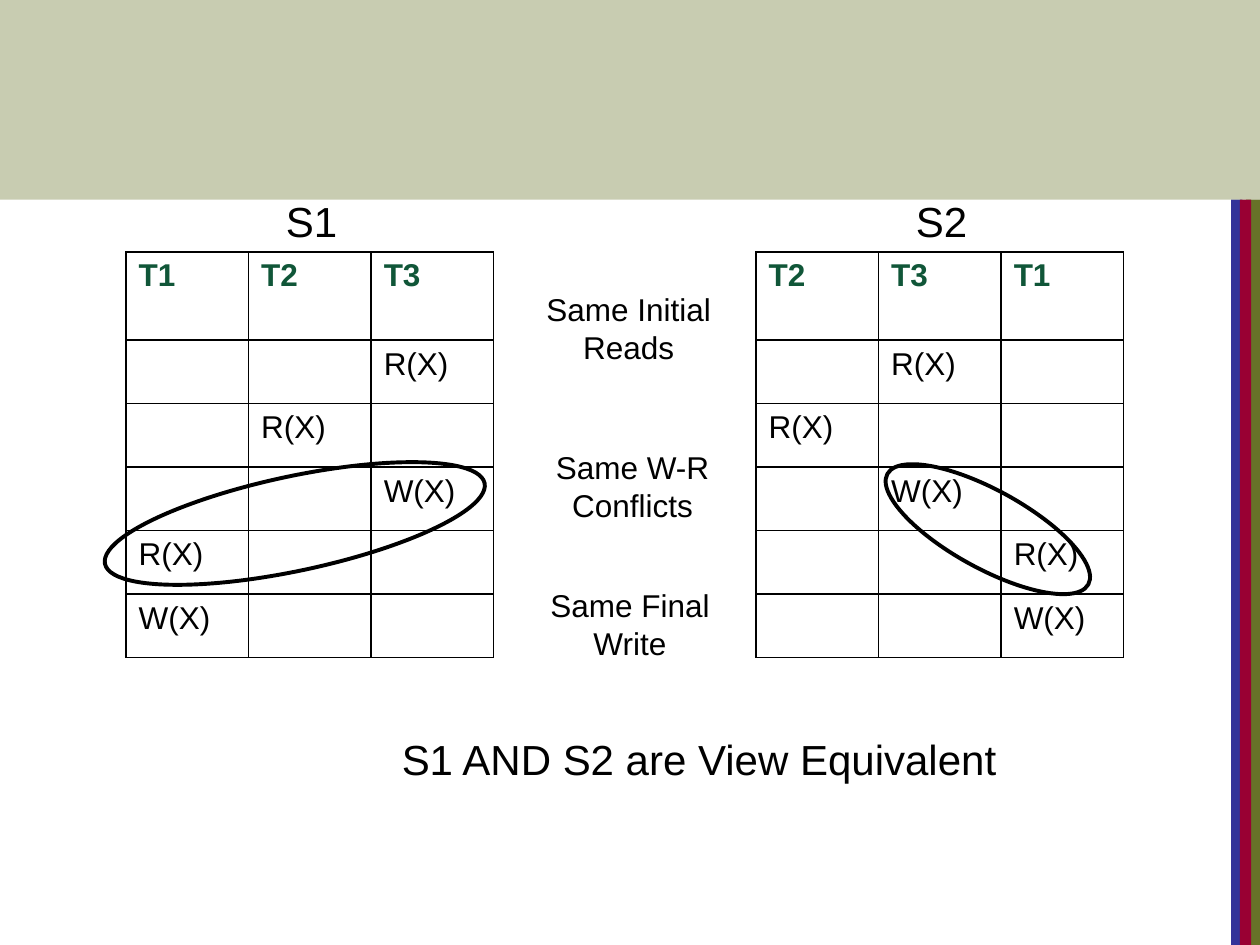
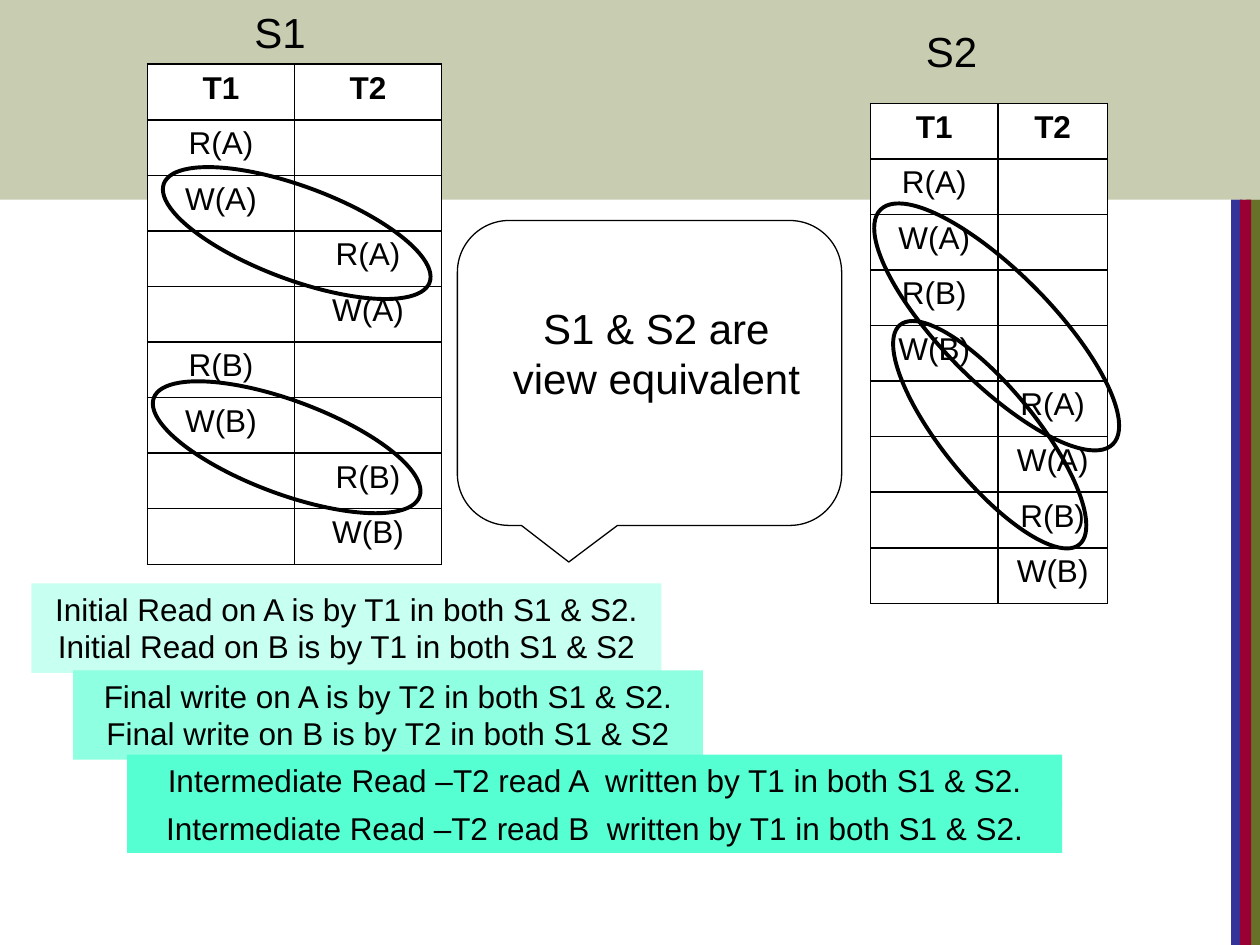
from lxml import etree
from pptx import Presentation
from pptx.dml.color import RGBColor
from pptx.enum.shapes import MSO_SHAPE as Preset
from pptx.enum.text import MSO_ANCHOR as Anchor, PP_ALIGN as Align
from pptx.oxml.ns import qn
from pptx.util import Inches, Pt

# Shared look: a grid of 100 columns by 75 rows covers the slide
FONT, BLACK, WHITE, GREEN = "Arial", "000000", "FFFFFF", "105638"
OLIVE, BLUE, RED = "677228", "333399", "990033"
BODY, HEADING = 18, 24
COLUMNS, ROWS, BAND = 100, 75, 15.85
hex_colour = RGBColor.from_string

deck = Presentation()
deck.slide_width, deck.slide_height = Inches(10), Inches(7.5)
column, row = deck.slide_width / COLUMNS, deck.slide_height / ROWS


def place(slide, preset, box, lines=(), size=BODY, align=Align.LEFT,
          fill=None, line=None, weight=0.75, turn=0, wrap=True):
    """Put a preset shape, or a text box if preset is None, on the grid."""
    left, top, width, height = box
    frame = (int(left * column), int(top * row), int(width * column), int(height * row))
    if preset is None:
        part = slide.shapes.add_textbox(*frame)
    else:
        part = slide.shapes.add_shape(preset, *frame)
        part.shadow.inherit = False
        part.rotation = turn
        part.fill.background()
        part.line.fill.background()
        if fill:
            part.fill.solid()
            part.fill.fore_color.rgb = hex_colour(fill)
        if line:
            part.line.color.rgb = hex_colour(line)
            part.line.width = Pt(weight)
    if lines:
        text = part.text_frame
        text.word_wrap, text.vertical_anchor = wrap, Anchor.TOP
        text.text = "\n".join(lines)
        for paragraph in text.paragraphs:
            paragraph.alignment = align
            font = paragraph.runs[0].font
            font.name, font.size = FONT, Pt(size)
            font.color.rgb = hex_colour(BLACK)
    return part


def schedule(slide, left, top, widths, heights, heads, steps, head_colour, align):
    """Draw a schedule: each step is (transaction, operation) on its own row."""
    table = slide.shapes.add_table(
        len(heights), len(widths), int(left * column), int(top * row),
        int(sum(widths) * column), int(sum(heights) * row)).table
    table.first_row = table.horz_banding = False
    for lane, width in zip(table.columns, widths):
        lane.width = int(width * column)
    for line, height in zip(table.rows, heights):
        line.height = int(height * row)
    entries = {(0, number): head for number, head in enumerate(heads)}
    entries |= {(number, heads.index(owner)): operation
                for number, (owner, operation) in enumerate(steps, 1)}
    for r in range(len(heights)):
        for c in range(len(widths)):
            cell = table.cell(r, c)
            cell.text = entries.get((r, c), "")
            paragraph = cell.text_frame.paragraphs[0]
            paragraph.alignment = align
            font = paragraph.runs[0].font if paragraph.runs else paragraph.font
            font.name, font.size, font.bold = FONT, Pt(BODY), r == 0
            font.color.rgb = hex_colour(BLACK if r else head_colour)
            # Borders come before the fill in the cell properties
            properties = cell._tc.get_or_add_tcPr()
            for side in ("a:lnL", "a:lnR", "a:lnT", "a:lnB"):
                border = etree.SubElement(properties, qn(side), w=str(Pt(1)))
                solid = etree.SubElement(border, qn("a:solidFill"))
                etree.SubElement(solid, qn("a:srgbClr"), val=BLACK)
            cell.fill.solid()
            cell.fill.fore_color.rgb = hex_colour(WHITE)


# Both slides: three side stripes and a translucent top band
slides = [deck.slides.add_slide(deck.slide_layouts[6]) for _ in range(2)]
for slide in slides:
    for left, width, colour in ((98.9, 1.1, OLIVE), (97.7, 0.9, BLUE), (98.4, 0.9, RED)):
        place(slide, Preset.RECTANGLE, (left, BAND, width, ROWS - BAND), fill=colour)
    band = place(slide, Preset.RECTANGLE, (0, 0, COLUMNS, BAND), fill=OLIVE)
    tint = band._element.spPr.find(qn("a:solidFill")).find(qn("a:srgbClr"))
    etree.SubElement(tint, qn("a:alpha"), val="36000")
three_way, two_way = slides

# Slide 1: two schedules of three transactions
three_steps = [("T3", "R(X)"), ("T2", "R(X)"), ("T3", "W(X)"), ("T1", "R(X)"), ("T1", "W(X)")]
for title, left, heads in (("S1", 10, ["T1", "T2", "T3"]), ("S2", 60, ["T2", "T3", "T1"])):
    schedule(three_way, left, 20, [9.73] * 3, [7] + [5.04] * 5, heads, three_steps,
             GREEN, Align.LEFT)
    place(three_way, None, (left + 11.7, 15, 11.7, 5.1), [title], HEADING)

# Slide 1: reasons between the schedules, and the conclusion
for left, top, reason in ((40.7, 22.5, "Same Initial Reads"), (41, 35.1, "Same W-R Conflicts"),
                          (40.8, 46, "Same Final Write")):
    place(three_way, None, (left, top, 18.4, 7.1), [reason], align=Align.CENTER)
place(three_way, None, (30.9, 57.7, 50.1, 5.1), ["S1 AND S2 are View Equivalent"],
      HEADING, wrap=False)

# Slide 2: two schedules of two transactions
a_first, a_second = [("T1", "R(A)"), ("T1", "W(A)")], [("T2", "R(A)"), ("T2", "W(A)")]
b_first, b_second = [("T1", "R(B)"), ("T1", "W(B)")], [("T2", "R(B)"), ("T2", "W(B)")]
for title, title_at, left, top, widths, steps in (
        ("S1", (19.2, 0), 11.7, 5.1, [11.67, 11.67], a_first + a_second + b_first + b_second),
        ("S2", (72.5, 1.5), 69.1, 8.2, [10.1, 8.7], a_first + b_first + a_second + b_second)):
    schedule(two_way, left, top, widths, [4.41] * 9, ["T1", "T2"], steps, BLACK, Align.CENTER)
    place(two_way, None, (*title_at, 11.7, 5.1), [title], HEADING)

# Slide 2: stepped notes
for box, colour, lines in (
        ((2.5, 46.3, 50, 7.1), "C7FFF0", ["Initial Read on A is by T1 in both S1 & S2.",
                                          "Initial Read on B is by T1 in both S1 & S2"]),
        ((5.8, 53.2, 50, 7.1), "8EFFE1", ["Final write on A is by T2 in both S1 & S2.",
                                          "Final write on B is by T2 in both S1 & S2"]),
        ((10.1, 59.9, 74.2, 4), "56FFD2",
         ["Intermediate Read –T2 read A  written by T1 in both S1 & S2."]),
        ((10.1, 63.7, 74.2, 4), "56FFD2",
         ["Intermediate Read –T2 read B  written by T1 in both S1 & S2."])):
    place(two_way, Preset.RECTANGLE, box, lines, align=Align.CENTER, fill=colour)

# Ovals around each write and the read that depends on it
for slide, box, turn in (
        (three_way, (8, 37.8, 30.8, 7.5), 348), (three_way, (69.3, 38.9, 18.2, 6.2), 28.8),
        (two_way, (12.3, 14.8, 22.5, 7.4), 20.4), (two_way, (11.5, 31.8, 22.5, 7.4), 20.4),
        (two_way, (66, 21.6, 26.2, 8.7), 45.3), (two_way, (67.3, 30.8, 22.5, 7.4), 50.8)):
    place(slide, Preset.OVAL, box, line=BLACK, weight=2.25, turn=turn)

# Slide 2: conclusion in a callout
callout = place(two_way, Preset.ROUNDED_RECTANGULAR_CALLOUT, (36.3, 17.5, 30.5, 24.2), line=BLACK)
for number, value in enumerate((-0.21, 0.62, 0.17)):
    callout.adjustments[number] = value
place(two_way, None, (39.2, 23.5, 25.8, 9.1), ["S1 & S2 are view equivalent"],
      HEADING, Align.CENTER)

deck.save("out.pptx")
